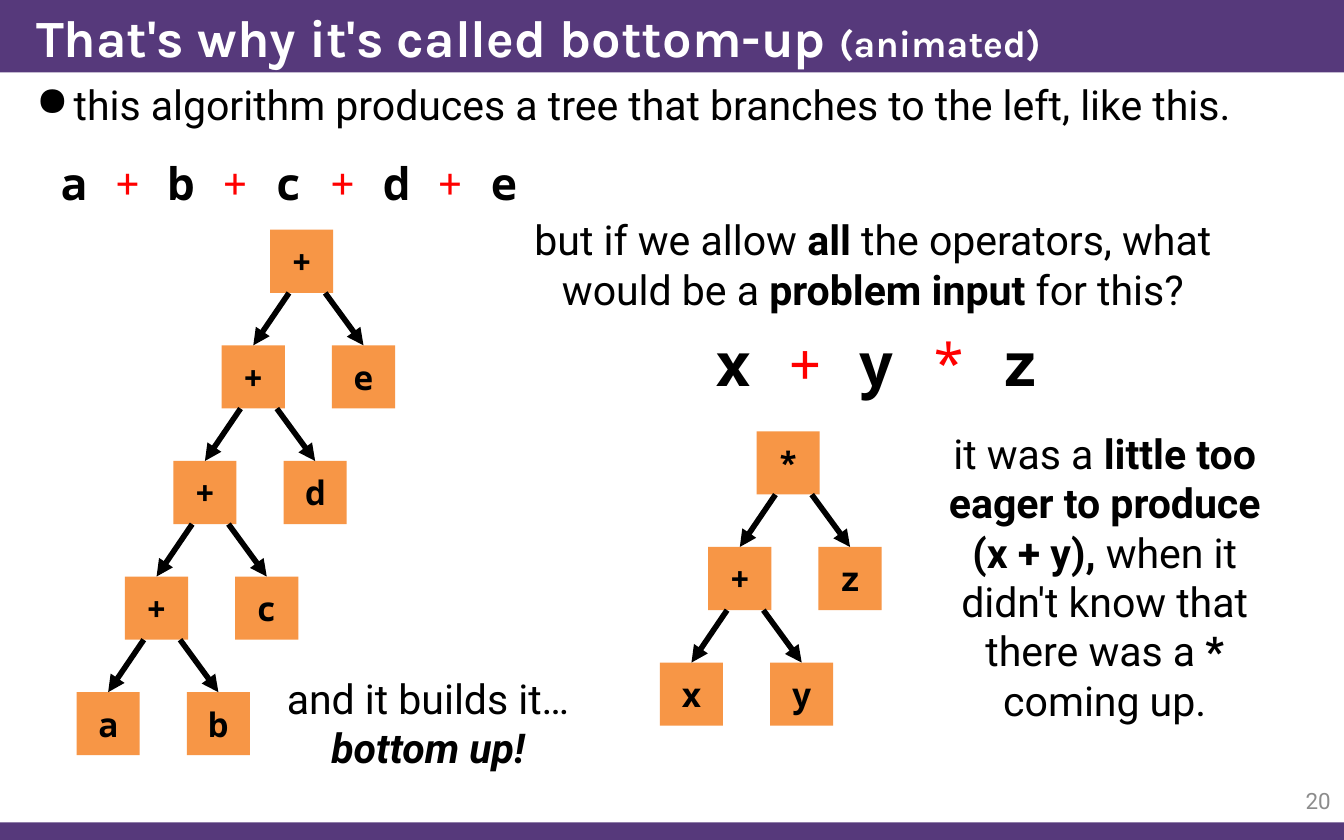
import pptx
import pptx.util
import pptx.dml.color
import pptx.enum.shapes
import pptx.enum.text
from lxml import etree

WIDE, HIGH = 10, 6.25
PURPLE, ORANGE, BLACK, RED = "56397B", "F79646", "000000", "FF0000"
MONO, SANS, HEAD = "Noto Sans Mono", "Roboto", "Karla"
BOLD = {"bold": True}
OPER = {"color": RED, "bold": False}

# Content: a text is a list of (words, changes from the base format)
TITLE = [("That's why it's called bottom-up ", {}), ("(animated)", {"size": 20})]
POINT = [("this algorithm produces a tree that branches to the left, like this.", {})]
BUILD = [("and it builds it… ", {}), ("bottom up!", {"bold": True, "italic": True})]
ASK = [("but if we allow ", {}), ("all", BOLD),
       (" the operators, what would be a ", {}),
       ("problem input", BOLD), (" for this?", {})]
EAGER = [("it was a ", {}), ("little too eager to produce (x + y), ", BOLD),
         ("when it didn't know that there was a ", {}), ("*", BOLD),
         (" coming up.", {})]

# Trees: (operator, left, right), each with the place of its root
TREES = [
    (("+", ("+", ("+", ("+", "a", "b"), "c"), "d"), "e"), 2.01, 1.71),
    (("*", ("+", "x", "y"), "z"), 5.63, 3.21),
]
SIDE, DROP = 0.47, 0.86       # node size, row step
SHIFTS = (-0.36, 0.46)        # left and right child, from the parent
STARTS = (0.14, 0.41)         # where the arrows leave the parent

deck = pptx.Presentation()
deck.slide_width = pptx.util.Inches(WIDE)
deck.slide_height = pptx.util.Inches(HIGH)
slide = deck.slides.add_slide(deck.slide_layouts[6])
parts = slide.shapes
PLACE = pptx.enum.text.PP_ALIGN
MIDDLE = pptx.enum.text.MSO_ANCHOR.MIDDLE
TOP = pptx.enum.text.MSO_ANCHOR.TOP


def inch(*nums):
    return [pptx.util.Inches(n) for n in nums]


def rgb(code):
    return pptx.dml.color.RGBColor.from_string(code)


def child(node, tag, **attrs):
    return etree.SubElement(node, pptx.oxml.ns.qn(tag), attrs)


def write(shape, runs, size=22, font=SANS, color=BLACK, bold=False,
          align=PLACE.CENTER, anchor=TOP, bullet=None):
    frame = shape.text_frame
    frame.word_wrap = True
    frame.vertical_anchor = anchor
    para = frame.paragraphs[0]
    para.alignment = align
    if bullet:
        props = para._p.get_or_add_pPr()
        props.set("marL", str(pptx.util.Inches(0.28)))
        props.set("indent", str(-pptx.util.Inches(0.28)))
        child(props, "a:buChar", char=bullet)
    base = {"size": size, "color": color, "bold": bold, "italic": False}
    for words, change in runs:
        look = {**base, **change}
        run = para.add_run()
        run.text = words
        run.font.name = font
        run.font.size = pptx.util.Pt(look["size"])
        run.font.bold = look["bold"]
        run.font.italic = look["italic"]
        run.font.color.rgb = rgb(look["color"])


def text(runs, spot, **look):
    write(parts.add_textbox(*inch(*spot)), runs, **look)


def rect(spot, fill):
    kind = pptx.enum.shapes.MSO_SHAPE.RECTANGLE
    shape = parts.add_shape(kind, *inch(*spot))
    shape.shadow.inherit = False
    shape.fill.solid()
    shape.fill.fore_color.rgb = rgb(fill)
    shape.line.fill.background()
    return shape


def arrow(left, top, node):
    kind = pptx.enum.shapes.MSO_CONNECTOR.STRAIGHT
    line = parts.add_connector(kind, *inch(left, top, left, top))
    line.end_connect(node, 0)
    line.line.color.rgb = rgb(BLACK)
    line.line.width = pptx.util.Pt(3)
    child(line.line._get_or_add_ln(), "a:tailEnd", type="triangle")
    child(line._element.spPr, "a:effectLst")


def grow(tree, left, top):
    """Draw a tree and return its root box."""
    name, *kids = tree
    root = rect((left, top, SIDE, SIDE), ORANGE)
    write(root, [(name, {})], size=18, font=MONO, bold=True, anchor=MIDDLE)
    for kid, shift, start in zip(kids, SHIFTS, STARTS):
        node = grow(kid, left + shift, top + DROP)
        arrow(left + start, top + SIDE, node)
    return root


def formula(words, spot, size):
    marks = words.split()
    runs = [(mark + (" " if i < len(marks) - 1 else ""), OPER if i % 2 else {})
            for i, mark in enumerate(marks)]
    text(runs, spot, size=size, font=MONO, bold=True)


# Bars, title, bullet and page number
rect((0, 6.12, WIDE, 0.13), PURPLE)
rect((0, 0, WIDE, 0.54), PURPLE)
text(TITLE, (0.17, 0, 9.83, 0.54), size=28, font=HEAD, color="FFFFFF",
     bold=True, align=PLACE.LEFT, anchor=MIDDLE)
text(POINT, (0.17, 0.54, 9.83, 0.54), align=PLACE.LEFT, bullet="●")
text([("20", {})], (9.25, 5.79, 0.75, 0.33), size=12, color="8C8C8C",
     align=PLACE.RIGHT, anchor=MIDDLE)

# Trees and formulas
for tree, left, top in TREES:
    grow(tree, left, top)
formula("a + b + c + d + e", (0.23, 1.11, 3.84, 0.5), 24)
formula("x + y * z", (5.11, 2.38, 2.83, 0.64), 32)

# Remarks
text(BUILD, (1.84, 4.96, 2.69, 0.84))
text(ASK, (3.58, 1.55, 5.83, 0.84))
text(EAGER, (6.8, 3.14, 2.84, 2.32))

deck.save("out.pptx")
